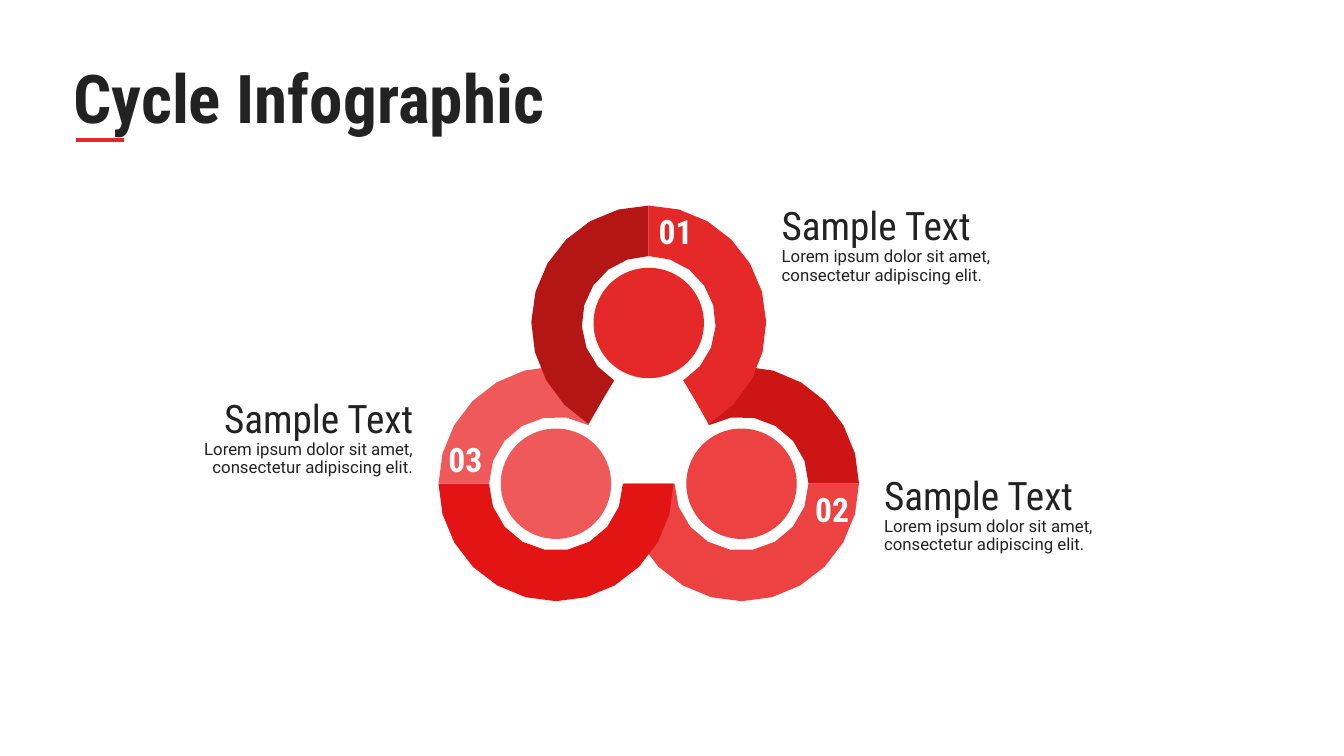
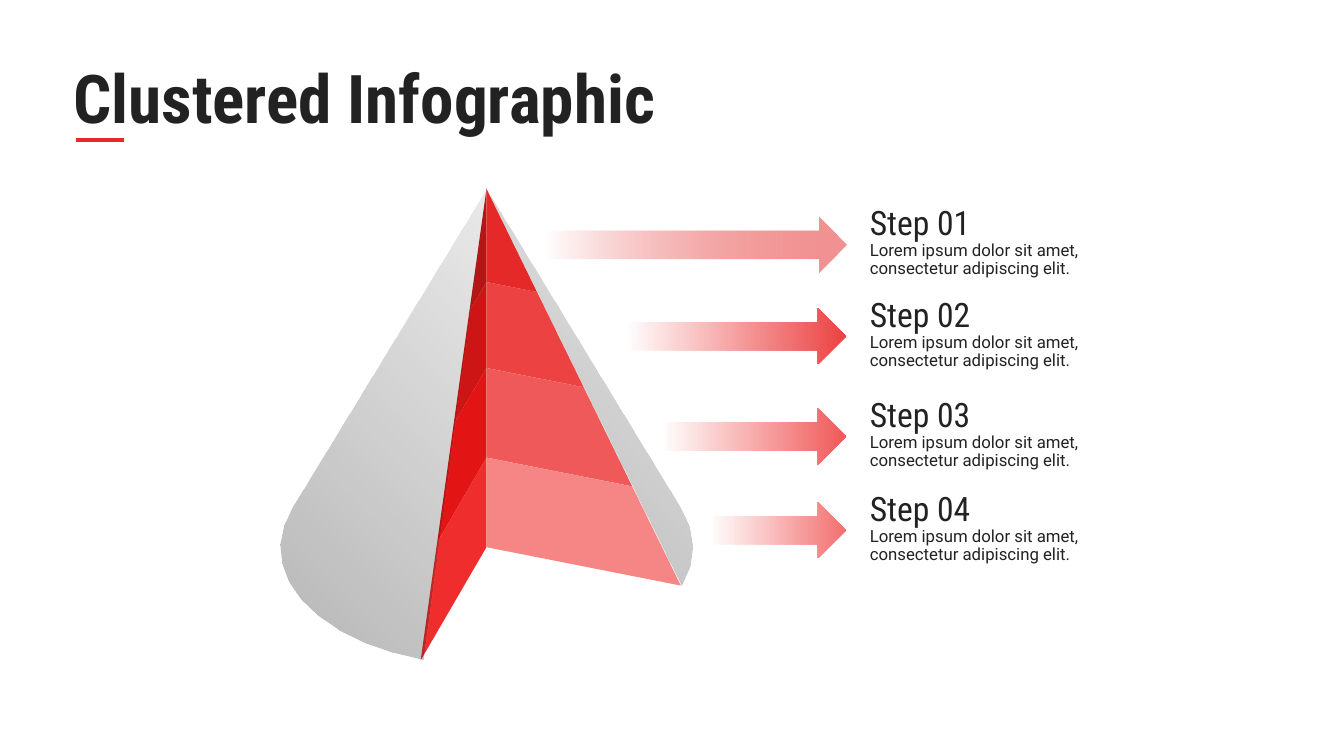
import collections
import math

import pptx
import pptx.dml.color
import pptx.enum.shapes
import pptx.enum.text
import pptx.oxml
import pptx.oxml.ns
import pptx.util

Cm = pptx.util.Cm
Pt = pptx.util.Pt
RGBColor = pptx.dml.color.RGBColor
Shape = pptx.enum.shapes.MSO_SHAPE
Align = pptx.enum.text.PP_ALIGN
Anchor = pptx.enum.text.MSO_ANCHOR
qn = pptx.oxml.ns.qn

INK = RGBColor(0x22, 0x22, 0x22)
WHITE = RGBColor(0xFF, 0xFF, 0xFF)
MAROON = RGBColor(0xB4, 0x16, 0x16)
CRIMSON = RGBColor(0xCE, 0x15, 0x15)
SCARLET = RGBColor(0xE2, 0x14, 0x14)
VERMILION = RGBColor(0xEF, 0x2D, 0x2D)
RED = RGBColor(0xE5, 0x28, 0x28)
CORAL = RGBColor(0xEC, 0x42, 0x42)
ROSE = RGBColor(0xF0, 0x59, 0x59)
BLUSH = RGBColor(0xF2, 0x70, 0x70)
PINK = RGBColor(0xF6, 0x85, 0x85)

HEAD_FONT = "Roboto Condensed"
BODY_FONT = "Roboto"
BODY_TEXT = "Lorem ipsum dolor sit amet, consectetur adipiscing elit."

# All box values are in centimetres.
Box = collections.namedtuple("Box", "left top width height")
TITLE_BOX = Box(1.6, 1.78, 19.79, 2.13)


def lengths(box):
    return [Cm(value) for value in box]


def style_para(para, text, font, size, color, bold=False, align=Align.LEFT):
    para.text = text
    para.alignment = align
    para.font.name = font
    para.font.size = Pt(size)
    para.font.color.rgb = color
    para.font.bold = bold


def finish(shape, color=None):
    """Remove outline and shadow; fill with a plain colour if one is given."""
    shape.shadow.inherit = False
    shape.line.fill.background()
    if color is not None:
        shape.fill.solid()
        shape.fill.fore_color.rgb = color


def fill_gradient(shape, start, end, from_bottom_left=False):
    """Blend two (colour, opacity percent) stops, rightwards or from a corner."""
    shape.fill.gradient()
    shape.fill.gradient_angle = 0
    gradient = shape.element.spPr.find(qn("a:gradFill"))
    for stop, (color, opacity) in zip(shape.fill.gradient_stops, (start, end)):
        stop.color.rgb = color
    for node, (color, opacity) in zip(gradient.iter(qn("a:srgbClr")), (start, end)):
        if opacity < 100:
            node.append(pptx.oxml.parse_xml(
                f'<a:alpha {pptx.oxml.ns.nsdecls("a")} val="{opacity * 1000}"/>'))
    if from_bottom_left:
        radial = pptx.oxml.parse_xml(
            f'<a:path {pptx.oxml.ns.nsdecls("a")} path="circle">'
            '<a:fillToRect t="100000" r="100000"/></a:path>')
        gradient.replace(gradient.find(qn("a:lin")), radial)


def arc_points(center, radius_x, radius_y, start, end, step):
    """Points on an ellipse; degrees run clockwise from the right."""
    count = math.ceil(abs(end - start) / step)
    angles = [math.radians(start + (end - start) * i / count) for i in range(count + 1)]
    return [(center[0] + radius_x * math.cos(angle),
             center[1] + radius_y * math.sin(angle)) for angle in angles]


def add_polygon(page, points, color=None):
    first, *rest = [(Cm(x), Cm(y)) for x, y in points]
    builder = page.shapes.build_freeform(*first)
    builder.add_line_segments(rest, close=True)
    shape = builder.convert_to_shape()
    finish(shape, color)
    return shape


def add_title_rule(page):
    """Draw the red rule under the title and hand it to the page's layout."""
    left, y = TITLE_BOX.left + 0.31, Cm(TITLE_BOX.top + 1.75)
    rule = page.shapes.add_connector(
        pptx.enum.shapes.MSO_CONNECTOR.STRAIGHT, Cm(left), y, Cm(left + 1.22), y)
    rule.line.color.rgb = RED
    rule.line.width = Pt(3)
    rule.element.spPr.append(pptx.oxml.parse_xml(
        f'<a:effectLst {pptx.oxml.ns.nsdecls("a")}/>'))
    page.slide_layout.shapes.element.append(rule.element)


def add_title(page, text):
    frame = page.shapes.add_textbox(*lengths(TITLE_BOX)).text_frame
    frame.word_wrap = True
    frame.vertical_anchor = Anchor.MIDDLE
    frame.margin_bottom = Cm(0.48)
    para = frame.paragraphs[0]
    style_para(para, text, HEAD_FONT, 48, INK, bold=True)
    para.line_spacing = 0.75


def add_caption(page, box, heading, size, align=Align.LEFT):
    frame = page.shapes.add_textbox(*lengths(box)).text_frame
    frame.word_wrap = True
    frame.auto_size = pptx.enum.text.MSO_AUTO_SIZE.SHAPE_TO_FIT_TEXT
    style_para(frame.paragraphs[0], heading, HEAD_FONT, size, INK, align=align)
    body = frame.add_paragraph()
    style_para(body, BODY_TEXT, BODY_FONT, 12, INK, align=align)
    body.line_spacing = 0.9


def add_ring(page, box, dark, light, number, align, anchor):
    """Draw two ring sectors and a disc; dark and light are (colour, start, end)."""
    radius = box.width / 2
    inner = 0.57 * radius
    disc = 0.47 * radius
    center = (box.left + radius, box.top + radius)
    sectors = [
        add_polygon(page, arc_points(center, radius, radius, start, end, 15)
                    + arc_points(center, inner, inner, end, start, 20), color)
        for color, start, end in (dark, light)]
    frame = sectors[-1].text_frame
    frame.vertical_anchor = anchor
    style_para(frame.paragraphs[0], number, HEAD_FONT, 24, WHITE, bold=True, align=align)
    core = page.shapes.add_shape(Shape.OVAL, *lengths(
        Box(center[0] - disc, center[1] - disc, 2 * disc, 2 * disc)))
    finish(core, light[0])


def add_cycle(page, box):
    """Place three overlapping rings around the middle of the box."""
    size = 5.92
    orbit = 2.7
    middle = (box.left + box.width / 2, box.top + size / 2 + orbit)
    rings = [
        (30, (CRIMSON, 241, 360), (CORAL, 0, 180), "02", Align.RIGHT, Anchor.TOP),
        (150, (SCARLET, 0, 180), (ROSE, 180, 299), "03", Align.LEFT, Anchor.BOTTOM),
        (270, (MAROON, 121, 270), (RED, 270, 419), "01", Align.LEFT, Anchor.TOP),
    ]
    for angle, *details in rings:
        x = middle[0] + orbit * math.cos(math.radians(angle))
        y = middle[1] + orbit * math.sin(math.radians(angle))
        add_ring(page, Box(x - size / 2, y - size / 2, size, size), *details)


def add_cone(page, box):
    """Draw a cone with a wedge cut out, its two cut faces split into layers."""
    radius_x, radius_y = box.width / 2, box.height / 4
    apex = (box.left + radius_x, box.top)
    foot = (apex[0], box.top + 0.76 * box.height)
    left_rim = arc_points(foot, radius_x, radius_y, 108, 200, 10)
    right_rim = arc_points(foot, radius_x, radius_y, -20, 19, 10)
    left_corner = (box.left + 0.34 * box.width, box.top + box.height)
    levels = [0, 0.26, 0.5, 0.75, 1]

    def along(end, share):
        return tuple(a + (b - a) * share for a, b in zip(apex, end))

    def add_layers(edge, colors):
        for color, top, bottom in zip(colors, levels, levels[1:]):
            corners = [along(edge, top), along(foot, top),
                       along(foot, bottom), along(edge, bottom)]
            add_polygon(page, corners if top else corners[1:], color)

    add_layers(left_corner, [MAROON, CRIMSON, SCARLET, VERMILION])
    for rim in (left_rim, right_rim):
        side = add_polygon(page, [apex] + rim)
        fill_gradient(side, (INK, 33), (INK, 10), from_bottom_left=True)
    add_layers(right_rim[-1], [RED, CORAL, ROSE, PINK])


def add_step(page, box, heading, color, opacity):
    """Fill the box with an arrow on the left and a caption on the right."""
    caption_width = 6.93
    arrow_width = box.width - caption_width - 0.35
    arrow = page.shapes.add_shape(Shape.RIGHT_ARROW, *lengths(
        Box(box.left, box.top + 0.49, arrow_width, 1.42)))
    finish(arrow)
    fill_gradient(arrow, (WHITE, 100), (color, opacity))
    add_caption(page, Box(box.left + box.width - caption_width, box.top,
                          caption_width, box.height), heading, 24)


def build_cycle_page(page):
    add_cycle(page, Box(11.05, 5.18, 10.6, 9.97))
    for left, top, align in [(19.45, 4.95, Align.LEFT), (22.03, 11.74, Align.LEFT),
                             (3.73, 9.8, Align.RIGHT)]:
        add_caption(page, Box(left, top, 6.93, 2.39), "Sample Text", 28, align)
    add_title(page, "Cycle Infographic")


def build_cluster_page(page):
    add_cone(page, Box(7.08, 4.76, 10.36, 11.88))
    steps = [(13.74, 4.96, RED, 51), (15.75, 7.27, CORAL, 100),
             (16.64, 9.8, ROSE, 100), (17.86, 12.16, BLUSH, 100)]
    right = 28.6
    for number, (left, top, color, opacity) in enumerate(steps, 1):
        add_step(page, Box(left, top, right - left, 2.21),
                 f"Step {number:02}", color, opacity)
    add_title(page, "Clustered Infographic")


def main():
    deck = pptx.Presentation()
    deck.slide_width, deck.slide_height = Cm(33.87), Cm(19.05)
    blank = deck.slide_layouts[6]
    cycle_page, cluster_page = [deck.slides.add_slide(blank) for _ in range(2)]
    add_title_rule(cycle_page)
    build_cycle_page(cycle_page)
    build_cluster_page(cluster_page)
    deck.save("out.pptx")


if __name__ == "__main__":
    main()
